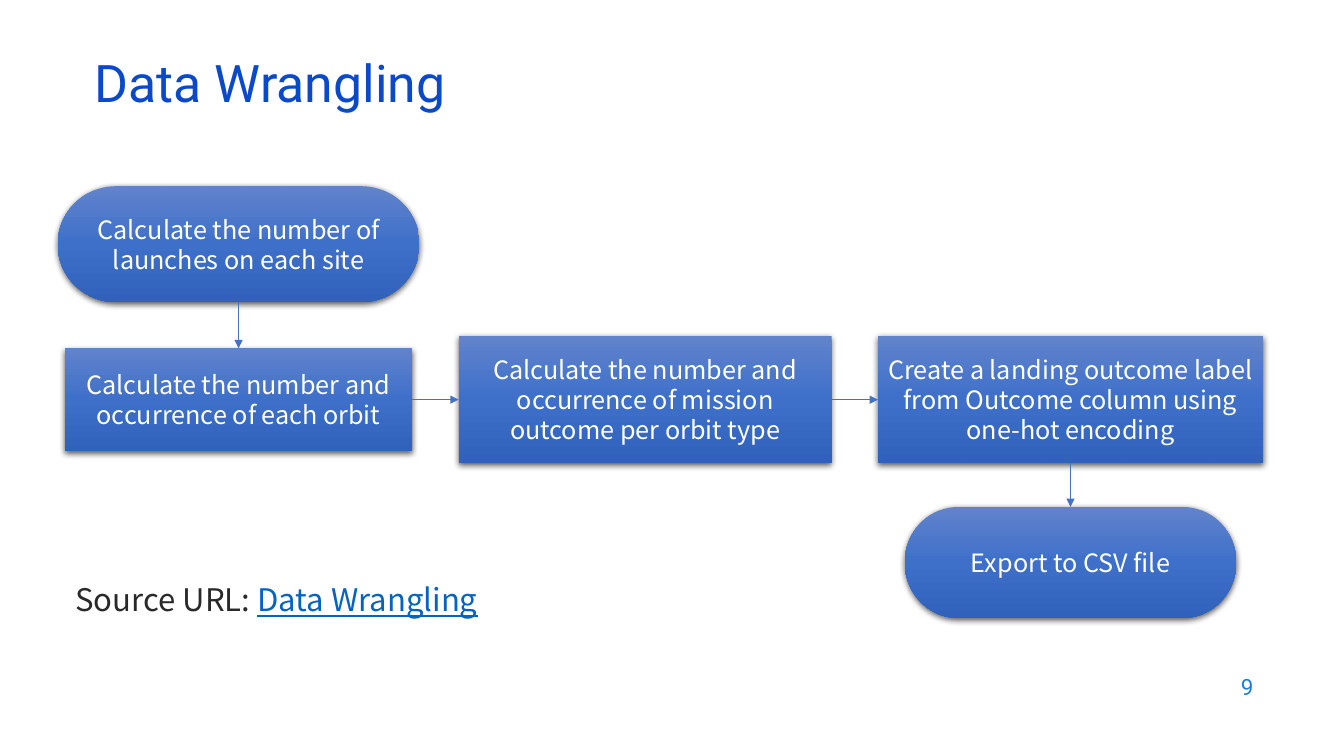
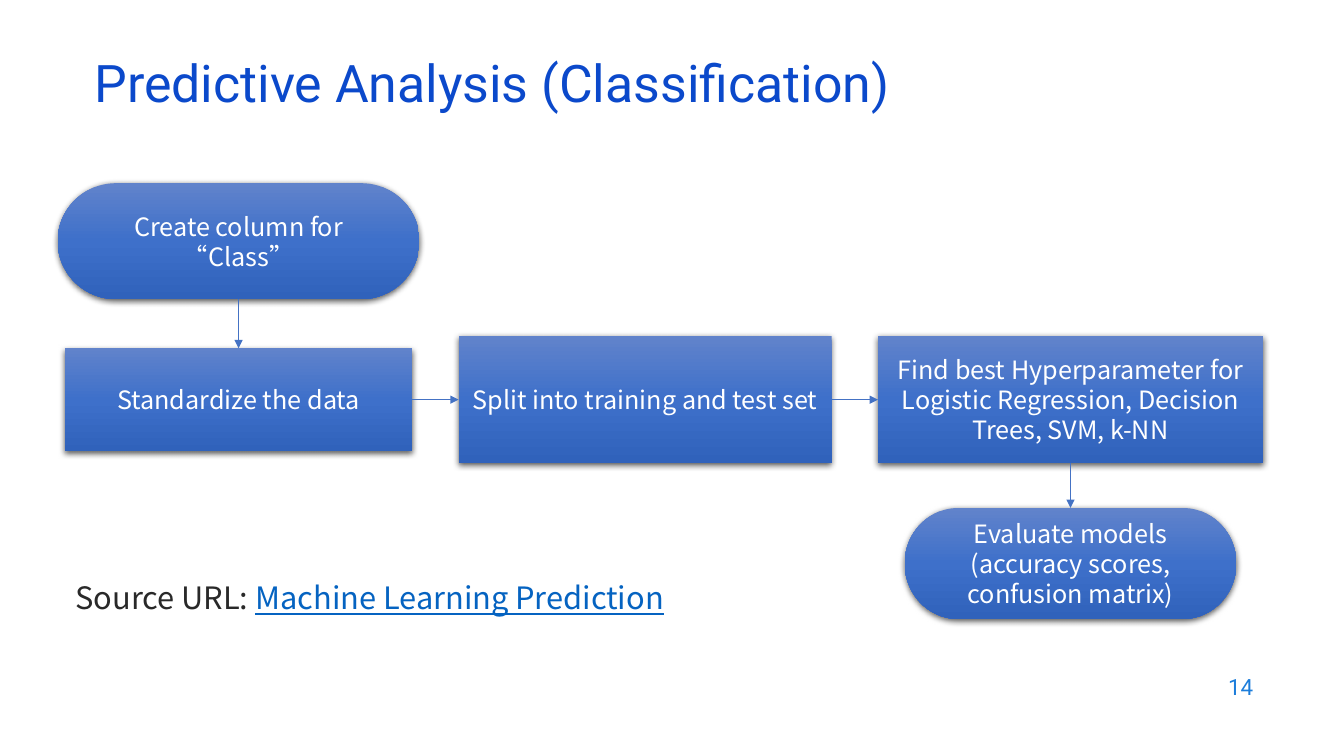
"""Build two process-flow slides that share one style."""
from lxml.etree import SubElement
from pptx import Presentation
from pptx.dml.color import RGBColor
from pptx.enum.shapes import MSO_CONNECTOR, MSO_SHAPE
from pptx.enum.text import MSO_ANCHOR, MSO_AUTO_SIZE, PP_ALIGN
from pptx.oxml.ns import qn
from pptx.util import Inches, Pt

TITLE_BLUE = RGBColor(0x0B, 0x49, 0xCB)
NUMBER_BLUE = RGBColor(0x1C, 0x7D, 0xDB)
LINE_BLUE = RGBColor(0x44, 0x72, 0xC4)
LINK_BLUE = RGBColor(0x05, 0x63, 0xC1)
INK = RGBColor(0x29, 0x29, 0x29)
WHITE = RGBColor(0xFF, 0xFF, 0xFF)
BLACK = RGBColor(0, 0, 0)
GRADIENT = [
    (0, RGBColor(0x61, 0x83, 0xCB)),
    (50, RGBColor(0x3E, 0x70, 0xCA)),
    (100, RGBColor(0x30, 0x62, 0xBB)),
]
HEAD_FONT = "Roboto"
BODY_FONT = "Noto Sans CJK TC"
LEADING = 1.2
TOP, LEFT, BOTTOM, RIGHT = range(4)
START_END = MSO_SHAPE.FLOWCHART_TERMINATOR
PROCESS = MSO_SHAPE.FLOWCHART_PROCESS

FLOW = [
    (START_END, 17.75, 32.3, 26.92, 15.33),
    (PROCESS, 17.75, 52.87, 25.8, 13.6),
    (PROCESS, 48, 52.87, 27.75, 16.8),
    (PROCESS, 79.65, 52.87, 28.65, 16.8),
    (START_END, 79.65, 74.4, 24.67, 14.67),
]
JOINS = [(BOTTOM, TOP), (RIGHT, LEFT), (RIGHT, LEFT), (BOTTOM, TOP)]

SLIDES = [
    {
        "title": "Data Wrangling",
        "number": 9,
        "steps": [
            "Calculate the number of launches on each site",
            "Calculate the number and occurrence of each orbit",
            "Calculate the number and occurrence of mission outcome per orbit type",
            "Create a landing outcome label from Outcome column using one-hot encoding",
            "Export to CSV file",
        ],
        "shifts": (0, 0),
        "link": "Data Wrangling",
        "link_top": 76.13,
        "link_size": 22.2,
    },
    {
        "title": "Predictive Analysis (Classification)",
        "number": 14,
        "steps": [
            "Create column for\n“Class”",
            "Standardize the data",
            "Split into training and test set",
            "Find best Hyperparameter for Logistic Regression, Decision Trees, SVM, k-NN",
            "Evaluate models (accuracy scores, confusion matrix)",
        ],
        "shifts": (-0.4, 0.13),
        "link": "Machine Learning Prediction",
        "link_top": 75.87,
        "link_size": 22,
    },
]


def add_text(p, text, size, color, font=BODY_FONT, underline=None, align=None, spacing=None):
    """Add text to a paragraph in the given format."""
    if align is not None:
        p.alignment = align
    if spacing is not None:
        p.line_spacing = spacing
    for i, line in enumerate(text.split("\n")):
        if i:
            p.add_line_break()
        r = p.add_run()
        r.text = line
        r.font.name = font
        r.font.size = Pt(size)
        r.font.color.rgb = color
        r.font.underline = underline


def add_color(parent, color, alpha=None):
    """Add a colour element, with its opacity in percent."""
    clr = SubElement(parent, qn("a:srgbClr"), val=str(color))
    if alpha is not None:
        SubElement(clr, qn("a:alpha"), val=str(alpha * 1000))


class Deck:
    """Hold the style and the current slide."""

    def __init__(self):
        """Start an empty widescreen presentation."""
        self.prs = Presentation()
        self.prs.slide_width = Inches(13.33)
        self.prs.slide_height = Inches(7.5)
        self.s = None

    def area(self, x, y, w, h):
        """Turn percentages of the slide into lengths."""
        width, height = self.prs.slide_width, self.prs.slide_height
        return [round(v * side / 100) for v, side in zip((x, y, w, h), (width, height) * 2)]

    def new_slide(self, title):
        """Add a slide with a formatted title."""
        self.s = self.prs.slides.add_slide(self.prs.slide_layouts[5])
        sp = self.s.shapes.title
        sp.left, sp.top, sp.width, sp.height = self.area(6.3, 7.87, 86.27, 8)
        tf = sp.text_frame
        tf.auto_size = MSO_AUTO_SIZE.NONE
        tf.vertical_anchor = MSO_ANCHOR.MIDDLE
        add_text(tf.paragraphs[0], title, 37, TITLE_BLUE, font=HEAD_FONT,
                 align=PP_ALIGN.LEFT, spacing=0.7)

    def text_box(self, x, y, w, h, anchor=MSO_ANCHOR.TOP):
        """Add a wrapping text box and return its paragraph."""
        tf = self.s.shapes.add_textbox(*self.area(x, y, w, h)).text_frame
        tf.word_wrap = True
        tf.vertical_anchor = anchor
        return tf.paragraphs[0]

    def page_number(self, number):
        """Add the page number at the lower right."""
        p = self.text_box(71.49, 87.87, 22.5, 5.87, MSO_ANCHOR.MIDDLE)
        add_text(p, str(number), 16, NUMBER_BLUE, font=HEAD_FONT, align=PP_ALIGN.RIGHT)

    def link_line(self, text, top, size):
        """Add the line that names the code location."""
        p = self.text_box(4.88, top, 47.5, 7.5)
        add_text(p, "Source URL: ", size, INK, spacing=Pt(size * LEADING))
        add_text(p, text, size, LINK_BLUE, underline=True)

    def step(self, kind, cx, cy, w, h, text):
        """Add a flow step around its centre."""
        sp = self.s.shapes.add_shape(kind, *self.area(cx - w / 2, cy - h / 2, w, h))
        sp.line.fill.background()
        self.paint(sp)
        tf = sp.text_frame
        tf.word_wrap = True
        tf.margin_left = tf.margin_right = Inches(0.07)
        tf.vertical_anchor = MSO_ANCHOR.MIDDLE
        add_text(tf.paragraphs[0], text, 18, WHITE, align=PP_ALIGN.CENTER,
                 spacing=Pt(18 * LEADING))
        return sp

    def paint(self, sp):
        """Give a shape the shared gradient and soft shadow."""
        sp.fill.gradient()
        grad = sp._element.spPr.find(qn("a:gradFill"))
        grad.clear()
        stops = SubElement(grad, qn("a:gsLst"))
        for pos, color in GRADIENT:
            add_color(SubElement(stops, qn("a:gs"), pos=str(pos * 1000)), color)
        SubElement(grad, qn("a:lin"), ang="5400000", scaled="0")
        sp.shadow.inherit = False
        effects = sp._element.spPr.find(qn("a:effectLst"))
        shadow = SubElement(effects, qn("a:outerShdw"), blurRad=str(Pt(4.5)),
                            dist=str(Pt(1.5)), dir="5400000", algn="ctr", rotWithShape="0")
        add_color(shadow, BLACK, alpha=63)

    def arrow(self, start, end, start_side, end_side):
        """Join two steps with an arrow."""
        c = self.s.shapes.add_connector(MSO_CONNECTOR.STRAIGHT, 0, 0, 0, 0)
        c.begin_connect(start, start_side)
        c.end_connect(end, end_side)
        c.line.color.rgb = LINE_BLUE
        c.line.width = Pt(1)
        SubElement(c.line._get_or_add_ln(), qn("a:tailEnd"), type="triangle")
        SubElement(c._element.spPr, qn("a:effectLst"))

    def flow(self, texts, shifts):
        """Add the five steps and the arrows between them."""
        first, last = shifts
        steps = [
            self.step(kind, cx, cy + shift, w, h, text)
            for (kind, cx, cy, w, h), shift, text in zip(FLOW, (first, 0, 0, 0, last), texts)
        ]
        for start, end, sides in zip(steps, steps[1:], JOINS):
            self.arrow(start, end, *sides)


def main():
    """Build and save the slides."""
    deck = Deck()
    for content in SLIDES:
        deck.new_slide(content["title"])
        deck.page_number(content["number"])
        deck.flow(content["steps"], content["shifts"])
        deck.link_line(content["link"], content["link_top"], content["link_size"])
    deck.prs.save("out.pptx")


if __name__ == "__main__":
    main()
